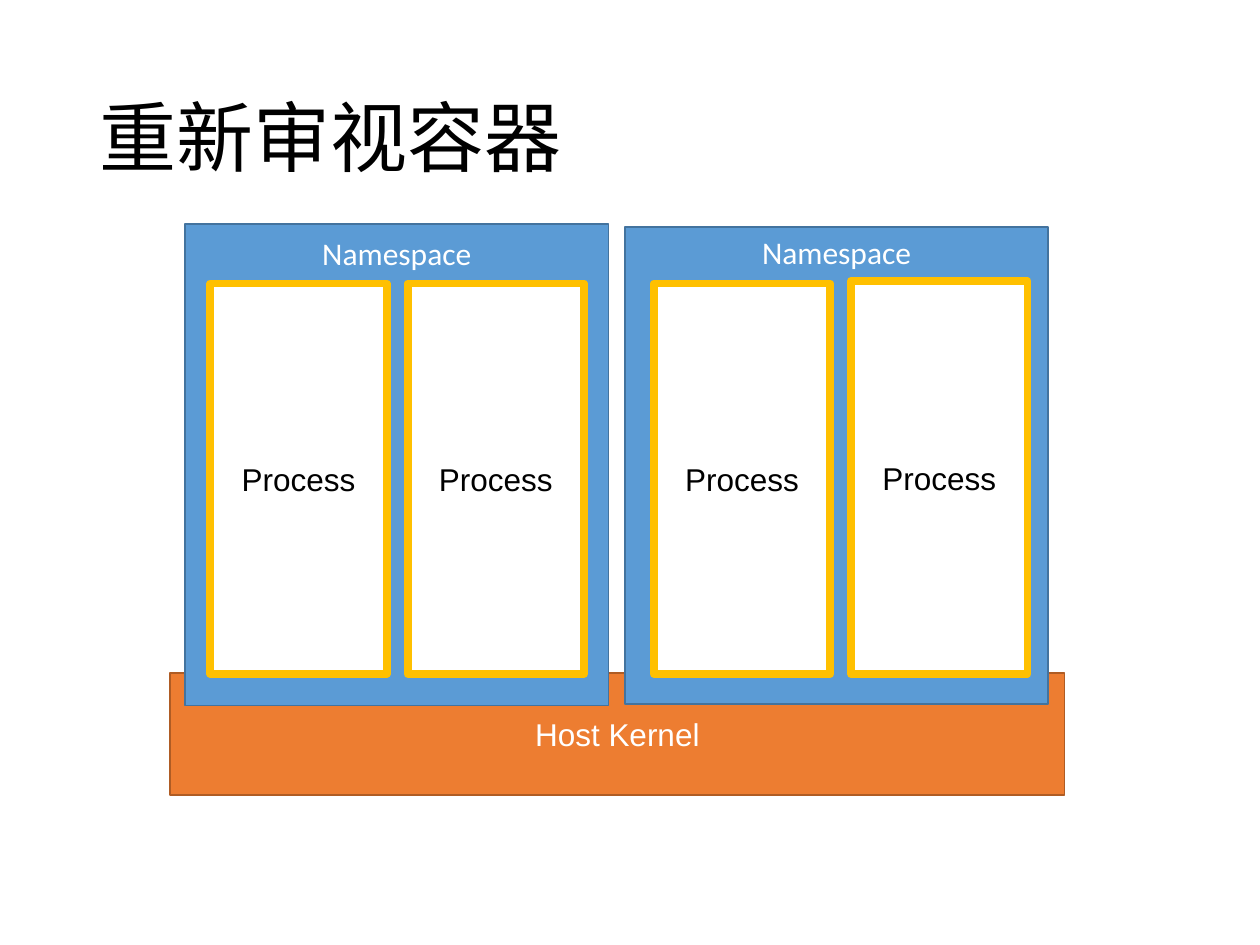
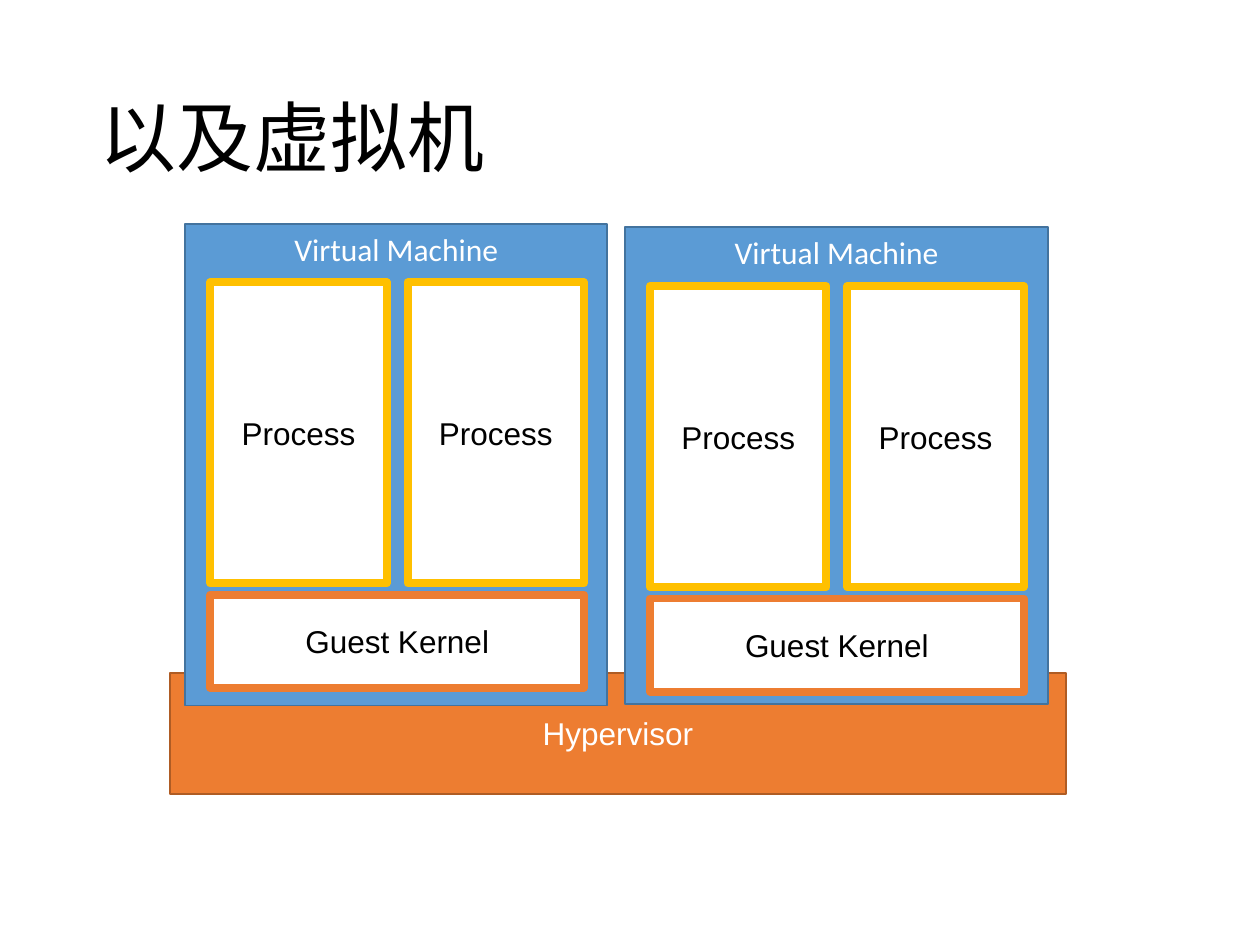
from dataclasses import dataclass

from pptx import Presentation
from pptx.dml.color import RGBColor
from pptx.enum.shapes import MSO_SHAPE
from pptx.enum.text import MSO_ANCHOR, MSO_AUTO_SIZE, PP_ALIGN
from pptx.util import Inches, Pt

COLORS = {
    "black": "000000",
    "white": "FFFFFF",
    "host": "ED7D31",
    "host_edge": "AF5C24",
    "unit": "5B9BD5",
    "unit_edge": "43739E",
    "process_edge": "FFC000",
}
PROCESS_WIDTH = 1.4
PROCESS_PITCH = 1.565
KERNEL_WIDTH = PROCESS_PITCH + PROCESS_WIDTH
KERNEL_HEIGHT = 0.74
KERNEL_GAP = 0.09
THIN, THICK = 1, 4.5


@dataclass
class Unit:
    """One isolated environment; label_top, inset and process_tops are relative to its box."""
    box: tuple
    label_top: float
    inset: float
    process_tops: tuple
    process_bottom: float


def color(name):
    return RGBColor.from_string(COLORS[name])


def write(frame, text, ink="black", size=18, font="Arial", align=PP_ALIGN.CENTER):
    paragraph = frame.paragraphs[0]
    paragraph.alignment = align
    run = paragraph.add_run()
    run.text = text
    run.font.size = Pt(size)
    run.font.name = font
    run.font.color.rgb = color(ink)
    return paragraph


def add_block(slide, box, fill, edge, weight, text=None, ink="black"):
    block = slide.shapes.add_shape(MSO_SHAPE.RECTANGLE, *map(Inches, box))
    block.shadow.inherit = False
    block.fill.solid()
    block.fill.fore_color.rgb = color(fill)
    block.line.color.rgb = color(edge)
    block.line.width = Pt(weight)
    if text:
        block.text_frame.vertical_anchor = MSO_ANCHOR.MIDDLE
        write(block.text_frame, text, ink)


def set_title(slide, text):
    title = slide.shapes.title
    title.left, title.top, title.width, title.height = map(Inches, (0.69, 0.4, 8.62, 1.45))
    frame = title.text_frame
    frame.auto_size = MSO_AUTO_SIZE.NONE
    frame.vertical_anchor = MSO_ANCHOR.MIDDLE
    write(frame, text, size=44, align=PP_ALIGN.LEFT).line_spacing = 0.9


def add_unit_label(slide, unit, text, label_width):
    left, top, width, _ = unit.box
    label_box = (left + (width - label_width) / 2, top + unit.label_top, label_width, 0.4)
    frame = slide.shapes.add_textbox(*map(Inches, label_box)).text_frame
    frame.word_wrap = False
    frame.auto_size = MSO_AUTO_SIZE.SHAPE_TO_FIT_TEXT
    write(frame, text, "white", font="Calibri")


def add_unit(slide, unit, label, label_width, guest_kernel):
    left, top, _, _ = unit.box
    add_block(slide, unit.box, "unit", "unit_edge", THIN)
    add_unit_label(slide, unit, label, label_width)
    inner_left = left + unit.inset
    for column, process_top in enumerate(unit.process_tops):
        process_box = (inner_left + column * PROCESS_PITCH, top + process_top,
                       PROCESS_WIDTH, unit.process_bottom - process_top)
        add_block(slide, process_box, "white", "process_edge", THICK, "Process")
    if guest_kernel:
        kernel_box = (inner_left, top + unit.process_bottom + KERNEL_GAP,
                      KERNEL_WIDTH, KERNEL_HEIGHT)
        add_block(slide, kernel_box, "white", "host", THICK, guest_kernel)


def add_stack_slide(deck, title, host, host_box, units, label, label_width, guest_kernel=None):
    """Add a slide with a host layer and the units that stand on it."""
    slide = deck.slides.add_slide(deck.slide_layouts.get_by_name("Title Only"))
    add_block(slide, host_box, "host", "host_edge", THIN, host, "white")
    set_title(slide, title)
    for unit in units:
        add_unit(slide, unit, label, label_width, guest_kernel)


def main():
    deck = Presentation()
    deck.slide_width, deck.slide_height = Inches(10), Inches(7.5)
    right_box = (4.96, 1.8, 3.36, 3.79)
    namespaces = [
        Unit((1.47, 1.78, 3.36, 3.82), 0.03, 0.2, (0.47, 0.47), 3.57),
        Unit(right_box, 0, 0.23, (0.45, 0.43), 3.55),
    ]
    machines = [
        Unit((1.47, 1.78, 3.35, 3.82), 0, 0.2, (0.46, 0.46), 2.85),
        Unit(right_box, 0, 0.2, (0.47, 0.47), 2.86),
    ]
    add_stack_slide(deck, "重新审视容器", "Host Kernel", (1.35, 5.34, 7.1, 0.97),
                    namespaces, "Namespace", 1.4)
    add_stack_slide(deck, "以及虚拟机", "Hypervisor", (1.35, 5.34, 7.11, 0.96),
                    machines, "Virtual Machine", 1.84, "Guest Kernel")
    deck.save("out.pptx")


if __name__ == "__main__":
    main()
